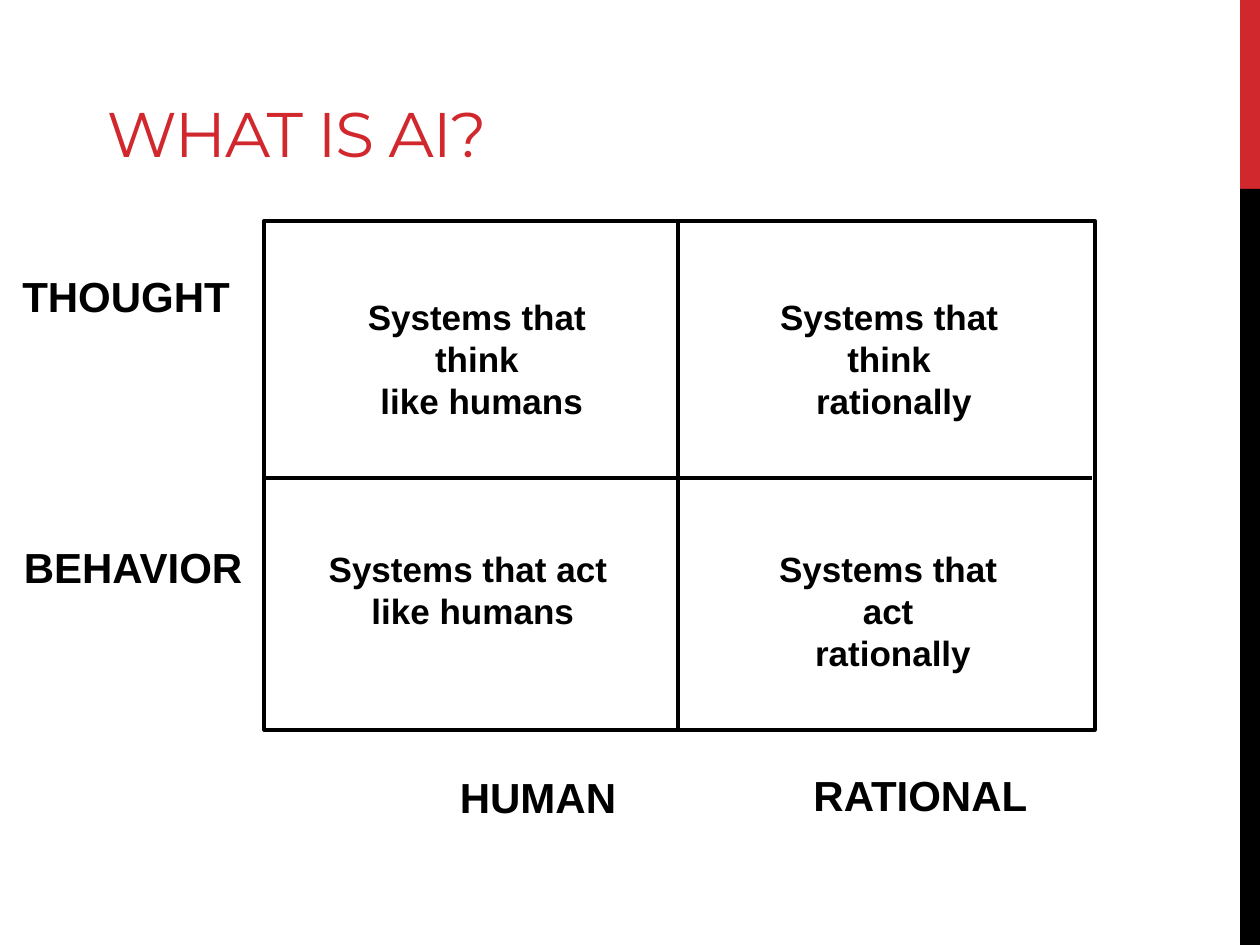
from lxml.etree import SubElement
from pptx import Presentation
from pptx.dml.color import RGBColor
from pptx.enum.shapes import MSO_CONNECTOR, MSO_SHAPE
from pptx.enum.text import MSO_ANCHOR, PP_ALIGN
from pptx.oxml.ns import qn
from pptx.util import Cm, Pt

HUES = {"red": "D1282E", "ink": "000000"}
HEAD = "WHAT IS AI?"
BARS = [("red", 0, 3.81), ("ink", 3.81, 15.24)]
GRID = (5.33, 4.45, 16.74, 10.26)
RULES = [(5.28, 9.63, 22.02, 9.63), (13.67, 4.47, 13.67, 14.73)]
CELLS = [
    ("Systems that act\v rationally", 14.91, 10.92, 5.99),
    ("Systems that think\v like humans", 6.3, 5.84, 6.63),
    ("Systems that think\v rationally", 14.61, 5.84, 6.63),
    ("Systems that act\v like humans", 6.35, 10.92, 6.17),
]
LABELS = [
    ("THOUGHT", 0.2, 5.33, 4.7),
    ("BEHAVIOR", 0.23, 10.8, 4.95),
    ("HUMAN", 9.02, 15.42, 3.71),
    ("RATIONAL", 16.15, 15.39, 4.88),
]


def hue(name):
    return RGBColor.from_string(HUES[name])


def style(frame, face, size, name, bold, align):
    for para in frame.paragraphs:
        para.alignment = align
        for run in para.runs:
            font = run.font
            font.name, font.size, font.bold = face, Pt(size), bold
            font.color.rgb = hue(name)


def block(left, top, width, height):
    shape = slide.shapes.add_shape(
        MSO_SHAPE.RECTANGLE, Cm(left), Cm(top), Cm(width), Cm(height))
    shape.shadow.inherit = False
    return shape


def stroke(line):
    line.color.rgb = hue("ink")
    line.width = Pt(2.25)


def write(text, left, top, width, height, size, align, wrap):
    box = slide.shapes.add_textbox(Cm(left), Cm(top), Cm(width), Cm(height))
    frame = box.text_frame
    frame.word_wrap = wrap
    frame.text = text
    style(frame, "Arial", size, "ink", True, align)


deck = Presentation()
deck.slide_width, deck.slide_height = Cm(25.4), Cm(19.05)
slide = deck.slides.add_slide(deck.slide_layouts[5])

for name, top, height in BARS:
    bar = block(25, top, 0.4, height)
    bar.fill.solid()
    bar.fill.fore_color.rgb = hue(name)
    bar.line.fill.background()

title = slide.shapes.title
title.left, title.top = Cm(1.9), Cm(0.3)
title.width, title.height = Cm(21.59), Cm(3.18)
frame = title.text_frame
frame.text = HEAD
frame.vertical_anchor = MSO_ANCHOR.BOTTOM
frame.margin_bottom = Cm(0.05)
style(frame, "Montserrat", 36, "red", False, PP_ALIGN.LEFT)
frame.paragraphs[0].runs[0]._r.get_or_add_rPr().set("spc", "-60")

for ends in RULES:
    rule = slide.shapes.add_connector(
        MSO_CONNECTOR.STRAIGHT, *[Cm(end) for end in ends])
    stroke(rule.line)
    SubElement(rule._element.spPr, qn("a:effectLst"))

grid = block(*GRID)
grid.fill.background()
stroke(grid.line)

for text, left, top, width in CELLS:
    write(text, left, top, width, 1.85, 20, PP_ALIGN.CENTER, True)
for text, left, top, width in LABELS:
    write(text, left, top, width, 1.27, 24, PP_ALIGN.LEFT, False)

deck.save("out.pptx")
